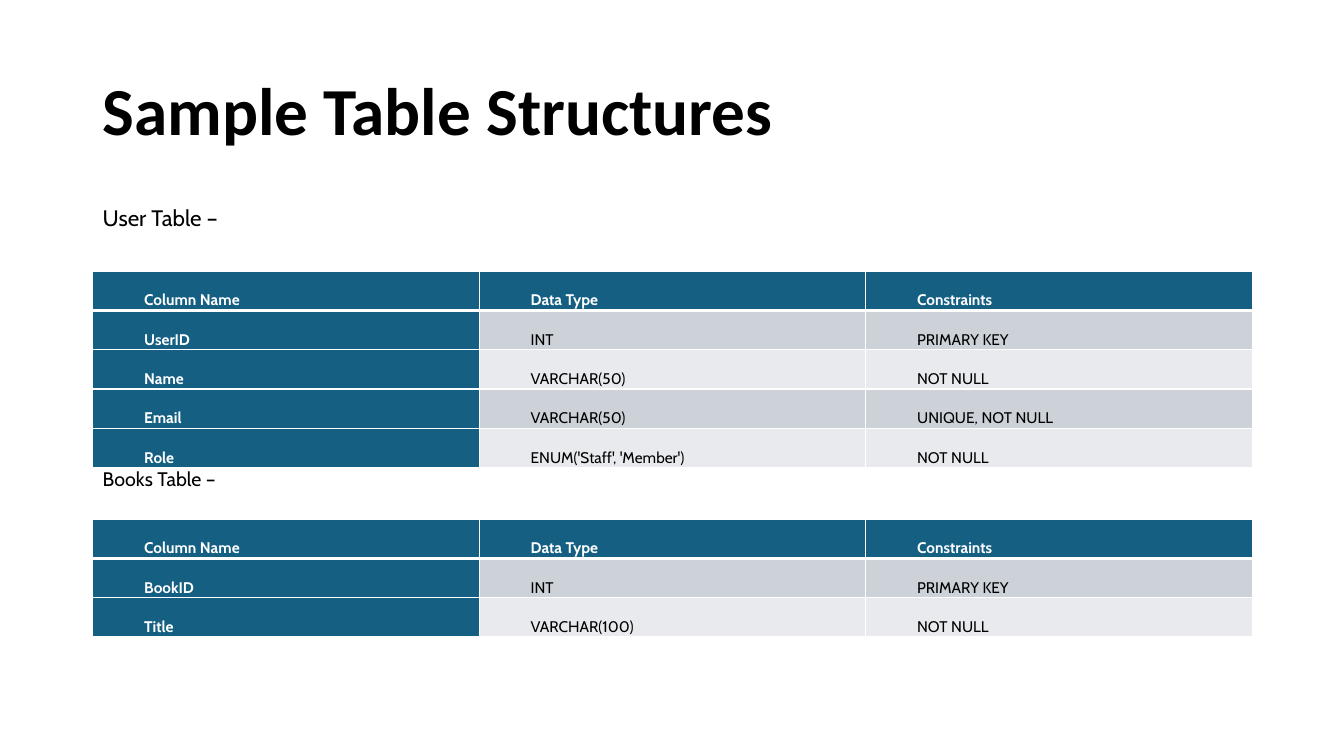
from dataclasses import dataclass

import pptx
import pptx.dml.color
import pptx.enum.text
import pptx.oxml
import pptx.oxml.ns
import pptx.util

Inches = pptx.util.Inches


@dataclass(frozen=True)
class Theme:
    black: str = "000000"
    white: str = "FFFFFF"
    teal: str = "156082"
    bands: tuple[str, str] = ("CCD2D8", "E8EAED")
    head_font: str = "Calibri"
    body_font: str = "Cabin"
    cell_size: int = 11
    thin: int = 1
    thick: int = 3


@dataclass(frozen=True)
class Label:
    text: str
    top: float
    height: float
    size: int
    font: str
    bold: bool = False


@dataclass(frozen=True)
class Schema:
    top: float
    rows: list[tuple[str, str, str]]


THEME = Theme()
LEFT, WIDTH = 0.92, 11.5
ROW_HEIGHT = 0.39
CELL_INSET = 0.01
HEADER = ("Column Name", "Data Type", "Constraints")

LABELS = [
    Label("Sample Table Structures", 0.4, 1.45, 48, THEME.head_font, True),
    Label("User Table –", 2, 0.35, 16, THEME.body_font),
    Label("Books Table –", 4.6, 0.32, 14, THEME.body_font),
]

SCHEMAS = [
    Schema(2.69, [
        HEADER,
        ("UserID", "INT", "PRIMARY KEY"),
        ("Name", "VARCHAR(50)", "NOT NULL"),
        ("Email", "VARCHAR(50)", "UNIQUE, NOT NULL"),
        ("Role", "ENUM('Staff', 'Member')", "NOT NULL"),
    ]),
    Schema(5.15, [
        HEADER,
        ("BookID", "INT", "PRIMARY KEY"),
        ("Title", "VARCHAR(100)", "NOT NULL"),
    ]),
]


def paint(color, value: str) -> None:
    color.rgb = pptx.dml.color.RGBColor.from_string(value)


def style(para, font: str, size: int, color: str, bold: bool) -> None:
    for run in para.runs:
        run.font.name = font
        run.font.size = pptx.util.Pt(size)
        run.font.bold = bold
        paint(run.font.color, color)


def add_label(slide, label: Label) -> None:
    box = slide.shapes.add_textbox(
        Inches(LEFT), Inches(label.top), Inches(WIDTH), Inches(label.height))
    frame = box.text_frame
    frame.word_wrap = True
    frame.vertical_anchor = pptx.enum.text.MSO_ANCHOR.MIDDLE
    frame.text = label.text
    para = frame.paragraphs[0]
    para.line_spacing = 0.9
    style(para, label.font, label.size, THEME.black, label.bold)


def add_edge(cell, side: str, points: int) -> None:
    names = pptx.oxml.ns.nsdecls("a")
    edge = pptx.oxml.parse_xml(
        f'<a:ln{side} {names} w="{pptx.util.Pt(points)}"><a:solidFill>'
        f'<a:srgbClr val="{THEME.white}"/></a:solidFill></a:ln{side}>')
    cell._tc.get_or_add_tcPr().append(edge)


def fill_cell(cell, text: str, row: int, col: int) -> None:
    # White rules, with a heavy one below the header
    rules = {"L": THEME.thin, "R": THEME.thin,
             "T": THEME.thick if row == 1 else THEME.thin,
             "B": THEME.thick if row == 0 else THEME.thin}
    for side, points in rules.items():
        add_edge(cell, side, points)

    # Teal header row and key column, banded rows elsewhere
    strong = row == 0 or col == 0
    cell.fill.solid()
    paint(cell.fill.fore_color,
          THEME.teal if strong else THEME.bands[(row - 1) % 2])

    # Text with a first-line indent
    cell.margin_left = cell.margin_right = Inches(CELL_INSET)
    cell.margin_top = cell.margin_bottom = Inches(CELL_INSET)
    cell.vertical_anchor = pptx.enum.text.MSO_ANCHOR.MIDDLE
    cell.text_frame.text = text
    para = cell.text_frame.paragraphs[0]
    para.line_spacing = 2.0
    para._p.get_or_add_pPr().set("indent", str(Inches(0.5)))
    style(para, THEME.body_font, THEME.cell_size,
          THEME.white if strong else THEME.black, strong)


def add_schema(slide, schema: Schema) -> None:
    count = len(schema.rows)
    table = slide.shapes.add_table(
        count, len(HEADER), Inches(LEFT), Inches(schema.top),
        Inches(WIDTH), Inches(ROW_HEIGHT * count)).table
    table.first_col = True
    for row, texts in enumerate(schema.rows):
        table.rows[row].height = Inches(ROW_HEIGHT)
        for col, text in enumerate(texts):
            fill_cell(table.cell(row, col), text, row, col)


def main() -> None:
    deck = pptx.Presentation()
    deck.slide_width, deck.slide_height = Inches(13.33), Inches(7.5)
    slide = deck.slides.add_slide(deck.slide_layouts[6])

    # Title and captions
    for label in LABELS:
        add_label(slide, label)

    # Tables
    for schema in SCHEMAS:
        add_schema(slide, schema)

    deck.save("out.pptx")


if __name__ == "__main__":
    main()
